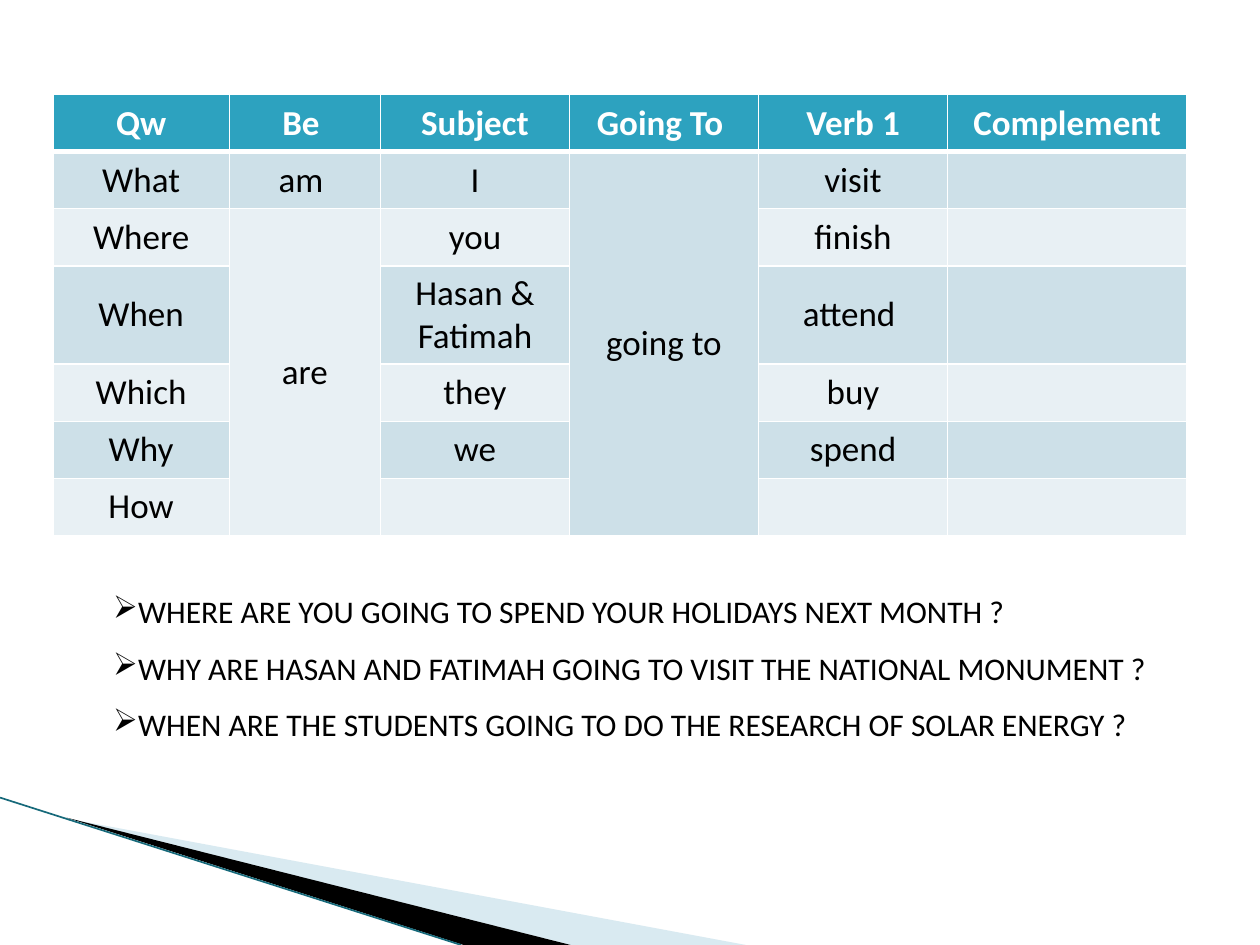
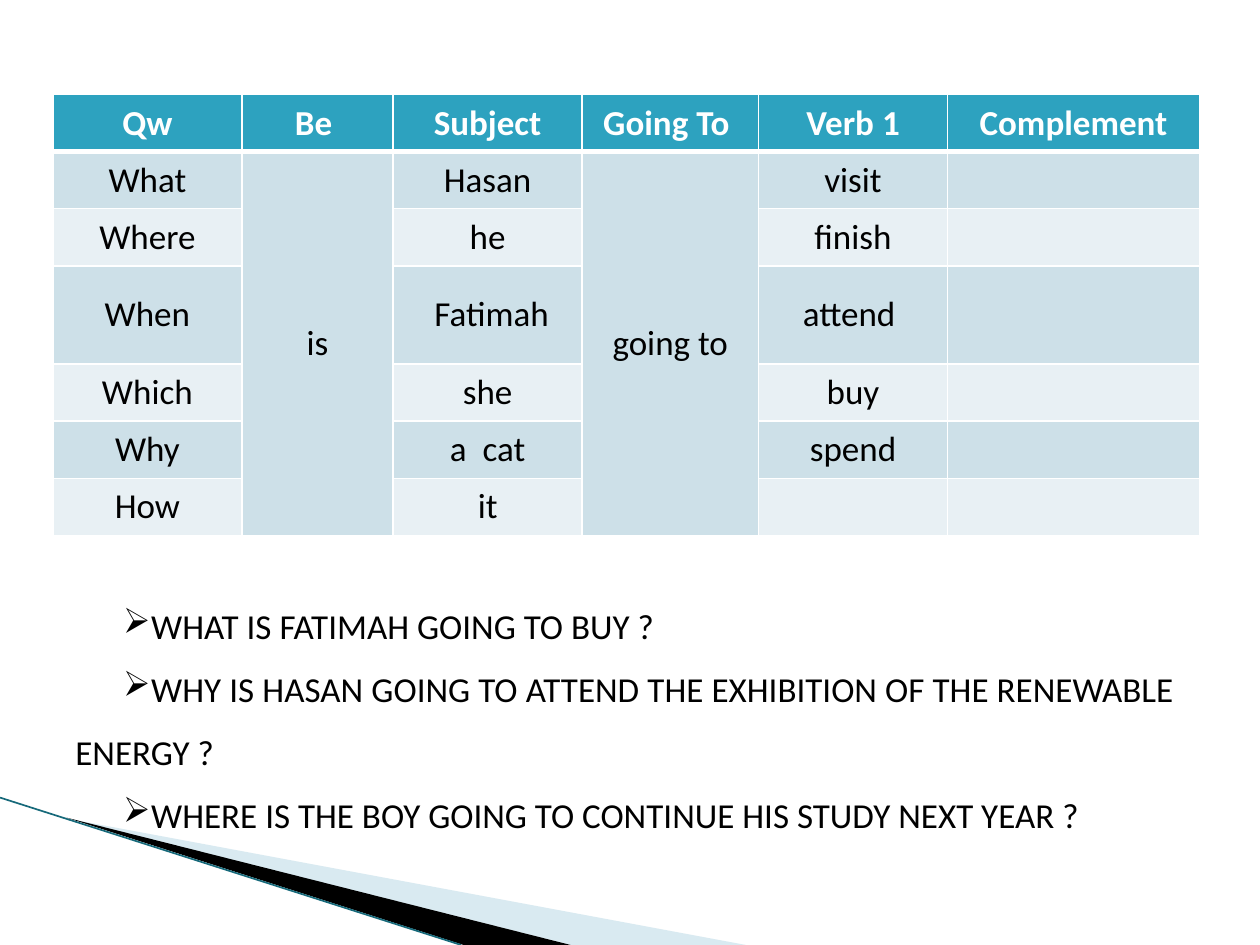
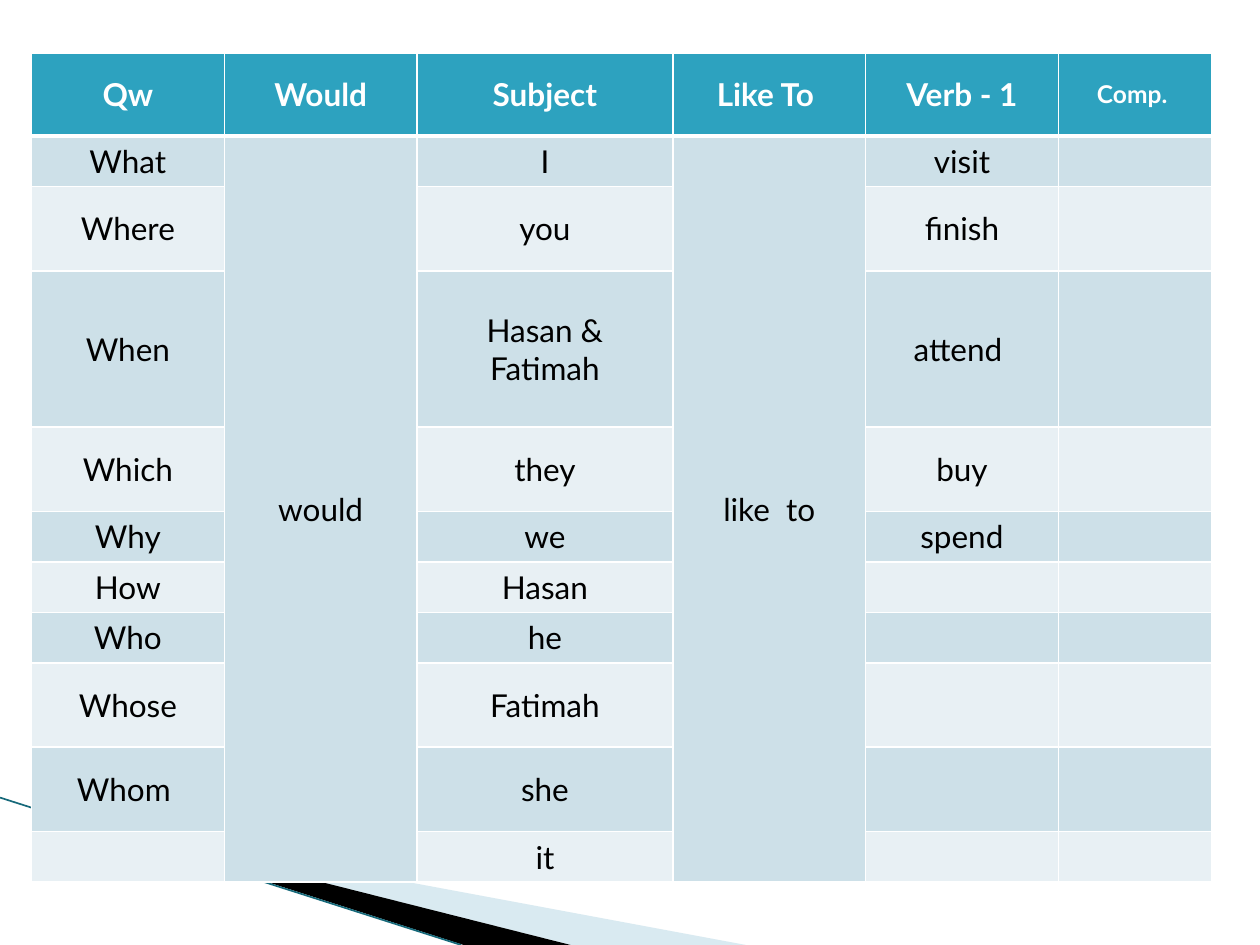
import pptx
import pptx.util
import pptx.dml.color
import pptx.enum.shapes
import pptx.enum.text
import pptx.oxml.ns
from lxml import etree

Inches, Pt = pptx.util.Inches, pptx.util.Pt
ALIGN = pptx.enum.text.PP_ALIGN
qn = pptx.oxml.ns.qn

COLORS = {
    "header": "2DA2BF",
    "odd_row": "CDE0E8",
    "even_row": "E8F0F4",
    "white": "FFFFFF",
    "black": "000000",
    "light_wedge": "A0CBDC",
    "edge": "16697A",
}

ABOVE = None  # the cell is merged with the one above it
QUESTION_WORDS = ["What", "Where", "When", "Which", "Why", "How"]
VERBS = ["visit", "finish", "attend ", "buy", "spend"]
TALL_ROW = 0.78
PLAIN_ROW = (3.5 - TALL_ROW) / 6
GOING_TO_ROWS = [PLAIN_ROW] * 3 + [TALL_ROW] + [PLAIN_ROW] * 3


def color(name):
    return pptx.dml.color.RGBColor.from_string(COLORS[name])


def format_runs(paragraph, font, size, color_name, bold=False):
    for run in paragraph.runs:
        run.font.name = font
        run.font.size = Pt(size)
        run.font.bold = bold
        run.font.color.rgb = color(color_name)


def set_frame(wedge, frame):
    """Give the wedge a frame of its own while its outline stays in place."""
    left, top, width, height = [Inches(length) for length in frame]
    outline = wedge._element.spPr.find(".//" + qn("a:path"))
    for point in outline.iter(qn("a:pt")):
        point.set("x", str(int(point.get("x")) + wedge.left - left))
        point.set("y", str(int(point.get("y")) + wedge.top - top))
    outline.set("w", str(width))
    outline.set("h", str(height))
    wedge.left, wedge.top, wedge.width, wedge.height = left, top, width, height


def add_wedge(slide, points, frame, color_name, opacity=100):
    corners = [(Inches(x), Inches(y)) for x, y in points]
    builder = slide.shapes.build_freeform(*corners[0], scale=1.0)
    builder.add_line_segments(corners[1:], close=True)
    wedge = builder.convert_to_shape()
    set_frame(wedge, frame)
    wedge.shadow.inherit = False
    wedge.line.fill.background()
    wedge.fill.solid()
    wedge.fill.fore_color.rgb = color(color_name)
    if opacity < 100:
        rgb = wedge._element.spPr.find(".//" + qn("a:srgbClr"))
        etree.SubElement(rgb, qn("a:alpha"), val=str(opacity * 1000))


def add_corner_band(slide):
    add_wedge(slide, [(0.55, 6.5), (5.92, 7.5), (4.53, 7.5)],
              (0.78, 5.47, 4.16, 1.58), "light_wedge", 40)
    add_wedge(slide, [(0.53, 6.49), (4.53, 7.5), (3.68, 7.5)],
              (-0.06, 6.33, 4.16, 0.92), "black")
    edge = slide.shapes.add_connector(
        pptx.enum.shapes.MSO_CONNECTOR.STRAIGHT,
        Inches(0), Inches(6.33), Inches(3.66), Inches(7.5))
    edge.line.color.rgb = color("edge")
    edge.line.width = Pt(0.95)
    etree.SubElement(edge._element.spPr, qn("a:effectLst"))


def set_borders(cell, top, bottom):
    properties = cell._tc.get_or_add_tcPr()
    for side, width in (("L", 1), ("R", 1), ("T", top), ("B", bottom)):
        border = etree.SubElement(properties, qn("a:ln" + side), w=str(Pt(width)))
        fill = etree.SubElement(border, qn("a:solidFill"))
        etree.SubElement(fill, qn("a:srgbClr"), val=COLORS["white"])


def fill_cell(cell, row, text, font, size):
    header = row == 0
    set_borders(cell, 3 if row == 1 else 1, 3 if header else 1)
    cell.fill.solid()
    cell.fill.fore_color.rgb = color(
        "header" if header else "odd_row" if row % 2 else "even_row")
    cell.vertical_anchor = pptx.enum.text.MSO_ANCHOR.MIDDLE
    paragraph = cell.text_frame.paragraphs[0]
    if text:
        paragraph.text = text
        paragraph.alignment = ALIGN.CENTER
        format_runs(paragraph, font, size, "white" if header else "black", header)
    else:
        # An empty cell needs the same font, as it sets the row's least height
        end = etree.SubElement(paragraph._p, qn("a:endParaRPr"), sz=str(size * 100))
        etree.SubElement(end, qn("a:latin"), typeface=font)


def add_pattern_table(slide, left, top, widths, heights, columns, font, size):
    """Columns are (heading, entries); missing entries at the end stay empty."""
    table = slide.shapes.add_table(
        len(heights), len(widths), Inches(left), Inches(top),
        Inches(sum(widths)), Inches(sum(heights))).table
    for table_row, height in zip(table.rows, heights):
        table_row.height = Inches(height)
    for col, (heading, entries) in enumerate(columns):
        table.columns[col].width = Inches(widths[col])
        texts = [heading] + entries + [""] * (len(heights) - 1 - len(entries))
        for row, text in enumerate(texts):
            fill_cell(table.cell(row, col), row, text, font, size)
        merged = [row for row, text in enumerate(texts) if text is ABOVE]
        if merged:
            table.cell(merged[0] - 1, col).merge(table.cell(merged[-1], col))
    return table


def add_examples(slide, left, top, width, height, sentences, size):
    box = slide.shapes.add_textbox(
        Inches(left), Inches(top), Inches(width), Inches(height))
    frame = box.text_frame
    frame.word_wrap = True
    frame.text = "\n".join(sentences)
    for paragraph in frame.paragraphs:
        paragraph.alignment = ALIGN.JUSTIFY
        paragraph.line_spacing = 1.5
        format_runs(paragraph, "Calibri", size, "black")
        properties = paragraph._p.get_or_add_pPr()
        properties.set("marL", "0")
        properties.set("indent", str(Inches(0.38)))
        # Wingdings draws this letter as an arrowhead
        etree.SubElement(properties, qn("a:buFont"), typeface="Wingdings",
                         pitchFamily="2", charset="2")
        etree.SubElement(properties, qn("a:buChar"), char="Ø")


def add_slide(deck):
    slide = deck.slides.add_slide(deck.slide_layouts[6])
    add_corner_band(slide)
    return slide


def main():
    deck = pptx.Presentation()
    deck.slide_width, deck.slide_height = Inches(10), Inches(7.5)

    # Going to: am and are
    slide = add_slide(deck)
    going_to = ("Going To ", ["going to"] + [ABOVE] * 5)
    add_pattern_table(
        slide, 0.42, 0.75, [1.4, 1.2, 1.5, 1.5, 1.5, 1.9], GOING_TO_ROWS,
        [("Qw", QUESTION_WORDS),
         ("Be ", ["am ", "are"] + [ABOVE] * 4),
         ("Subject", ["I", "you", "Hasan & Fatimah", "they", "we"]),
         going_to, ("Verb 1", VERBS), ("Complement", [])],
        "Calibri", 20)
    add_examples(slide, 0.42, 4.5, 8.83, 1.46, [
        "WHERE ARE YOU GOING TO SPEND YOUR HOLIDAYS NEXT MONTH ? ",
        "WHY ARE HASAN AND FATIMAH GOING TO VISIT THE NATIONAL MONUMENT ?",
        "WHEN ARE THE STUDENTS GOING TO DO THE RESEARCH OF SOLAR ENERGY ?",
    ], 18)

    # Going to: is
    slide = add_slide(deck)
    add_pattern_table(
        slide, 0.42, 0.75, [1.5, 1.2, 1.5, 1.4, 1.5, 2], GOING_TO_ROWS,
        [("Qw", QUESTION_WORDS),
         ("Be ", ["is"] + [ABOVE] * 5),
         ("Subject", ["Hasan", "he", " Fatimah", "she", "a  cat", "it"]),
         going_to, ("Verb 1", VERBS), ("Complement", [])],
        "Calibri", 20)
    add_examples(slide, 0.5, 4.58, 8.92, 1.62, [
        "WHAT IS FATIMAH GOING TO BUY ?",
        "WHY IS HASAN GOING TO ATTEND THE EXHIBITION OF THE RENEWABLE ENERGY ?",
        "WHERE IS THE BOY GOING TO CONTINUE HIS STUDY NEXT YEAR ?",
    ], 20)

    # Would like to
    slide = add_slide(deck)
    table = add_pattern_table(
        slide, 0.25, 0.42, [1.53, 1.53, 2.03, 1.53, 1.53, 1.22],
        [0.66, 0.4, 0.67, 1.24, 0.67, 0.4, 0.4, 0.4, 0.67, 0.67, 0.4],
        [("Qw", QUESTION_WORDS + ["Who", "Whose", "Whom "]),
         ("Would", ["would"] + [ABOVE] * 9),
         ("Subject", ["I", "you", "Hasan & Fatimah", "they", "we", "Hasan",
                      "he", "Fatimah", "she", "it"]),
         ("Like To ", ["like  to"] + [ABOVE] * 9),
         ("Verb - 1", VERBS), ("Comp. ", [])],
        "Lato", 18)
    complement = table.cell(0, 5).text_frame.paragraphs[0]
    format_runs(complement, "Lato", 14, "white", bold=True)

    deck.save("out.pptx")


if __name__ == "__main__":
    main()
